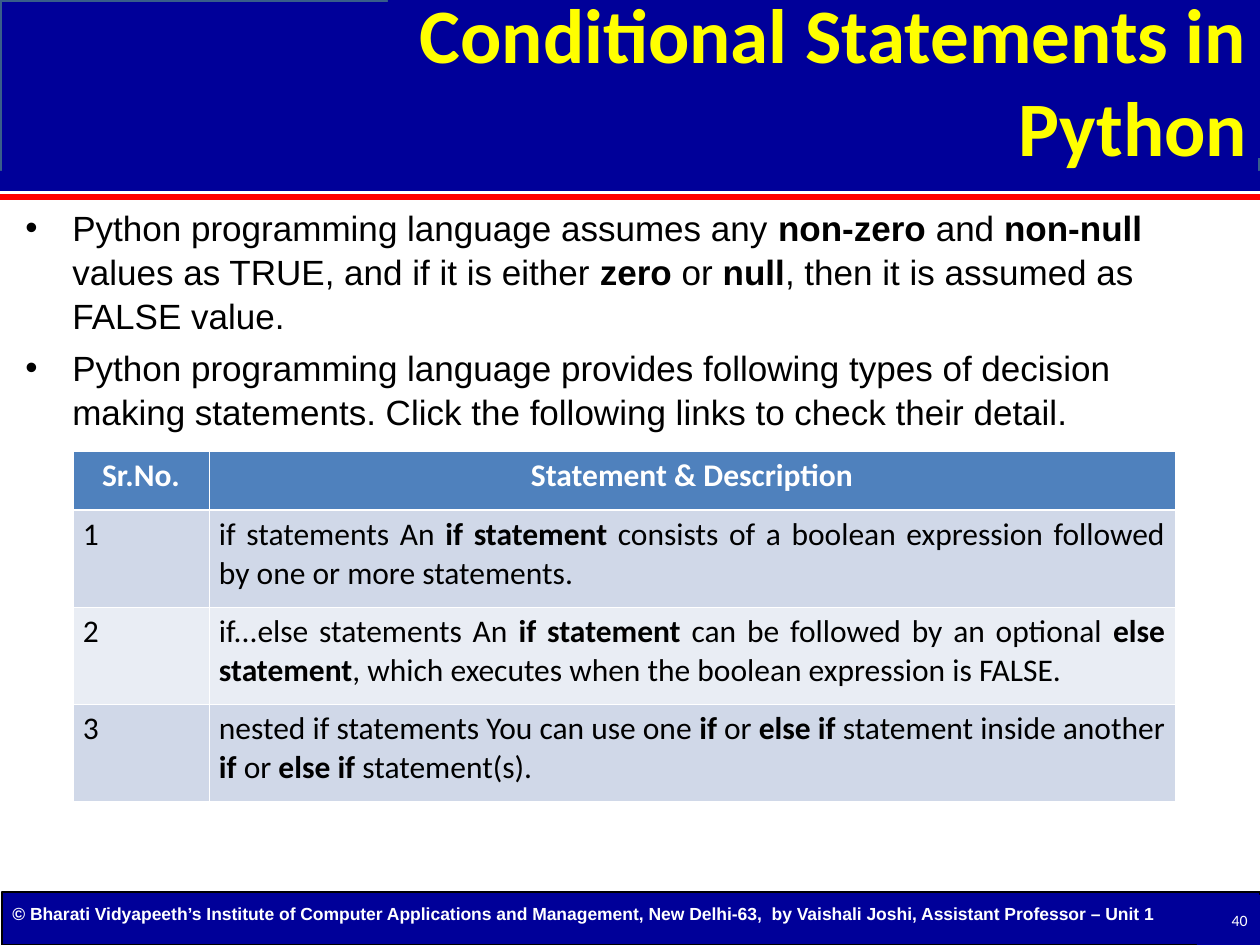
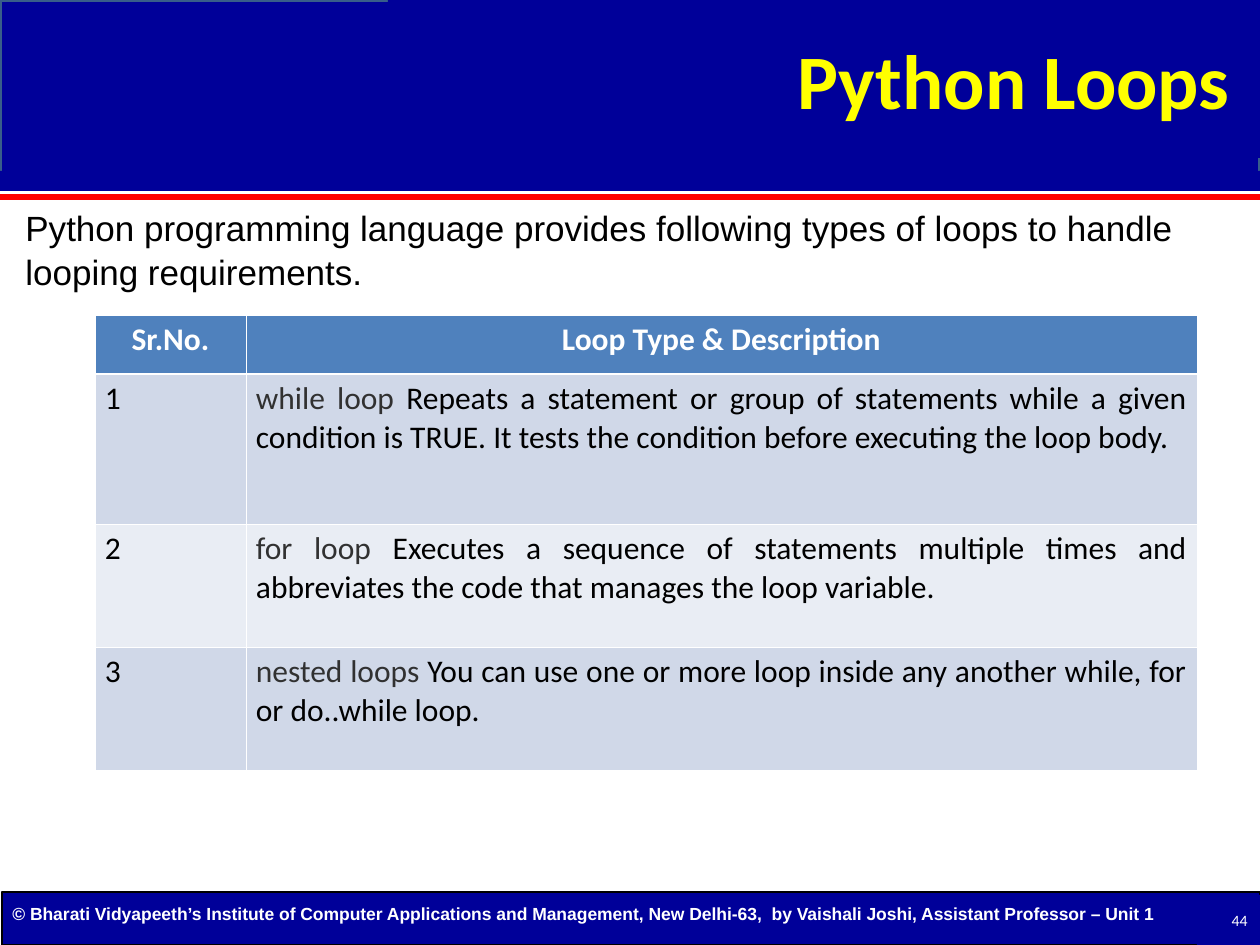
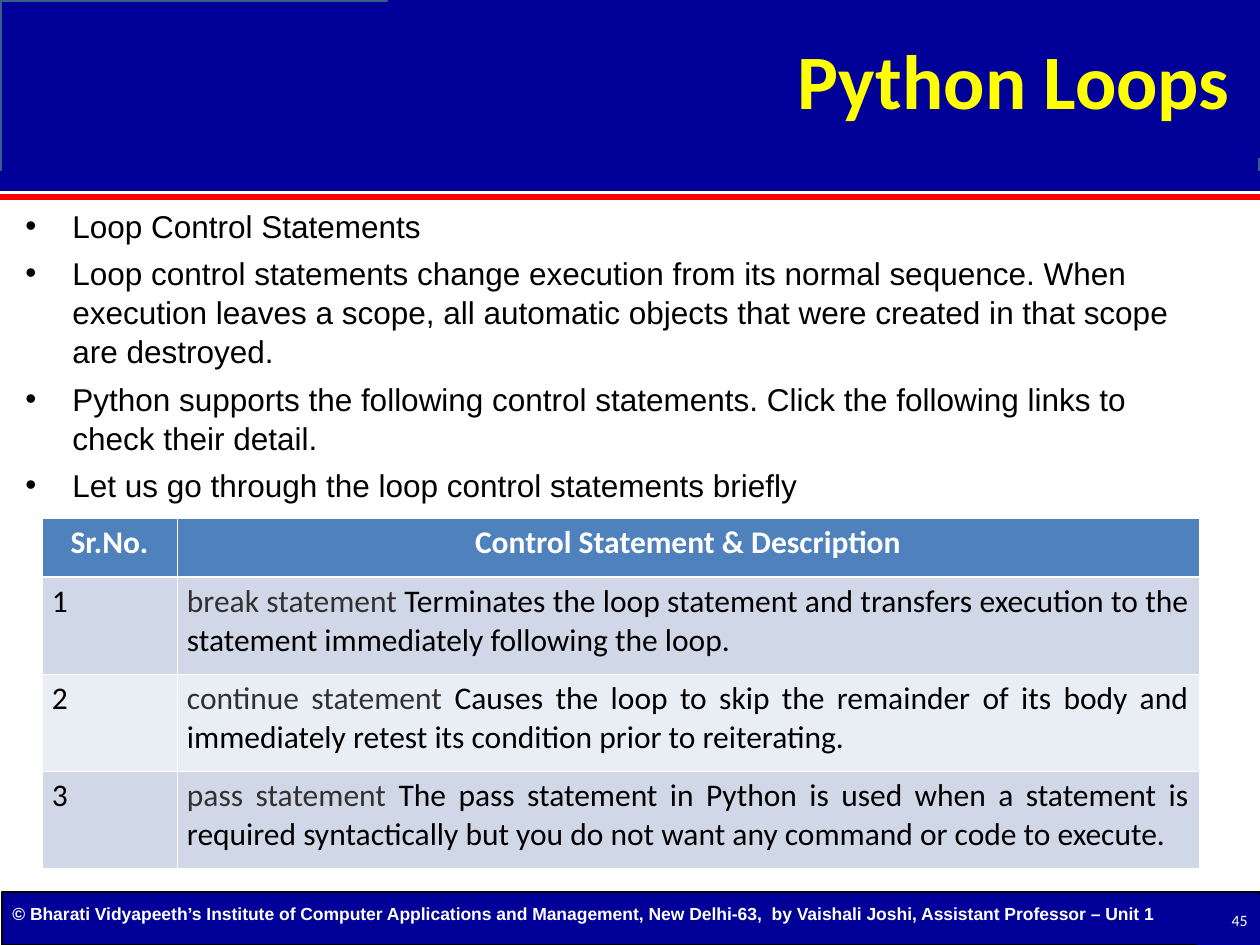
from dataclasses import dataclass
from typing import NamedTuple

from lxml.etree import SubElement
from pptx import Presentation
from pptx.dml.color import RGBColor
from pptx.enum.shapes import MSO_SHAPE
from pptx.enum.text import MSO_ANCHOR, MSO_AUTO_SIZE, PP_ALIGN
from pptx.oxml.ns import qn
from pptx.util import Emu, Pt

SCALE = 914400 / 126


def px(n: int) -> Emu:
    return Emu(round(n * SCALE))


# Theme: colours, fonts and type sizes
@dataclass(frozen=True)
class Theme:
    navy: str = "000099"
    edge: str = "385D8A"
    red: str = "FF0000"
    black: str = "000000"
    white: str = "FFFFFF"
    yellow: str = "FFFF00"
    grey: str = "313131"
    head: str = "4F81BD"
    bands: tuple[str, str] = ("D0D8E8", "E9EDF4")
    sans: str = "Arial"
    face: str = "Calibri"
    title: int = 44
    cell: int = 18
    foot: int = 10
    num: int = 9


THEME = Theme()


class Box(NamedTuple):
    x: int
    y: int
    w: int
    h: int

    def emu(self) -> list[Emu]:
        return [px(n) for n in self]


class Style(NamedTuple):
    size: int
    name: str
    color: str
    bold: bool = False
    align: PP_ALIGN = PP_ALIGN.LEFT


class Band(NamedTuple):
    box: Box
    fill: str
    line: str = ""
    width: float = 0


@dataclass
class Grid:
    x: int
    y: int
    cols: list[int]
    rows: list[int]
    head: str
    items: list[str]


@dataclass
class Page:
    title: str
    num: int
    size: int
    gap: float
    lines: list[str]
    grid: Grid
    dots: bool = True


# Shared parts of every slide
BANDS = [
    Band(Box(2, 892, 1258, 53), THEME.navy, THEME.black, 0.75),
    Band(Box(0, 0, 1260, 179), THEME.navy, THEME.edge, 2),
    Band(Box(0, 171, 1260, 20), THEME.navy),
    Band(Box(0, 194, 1260, 6), THEME.red),
]
TITLE = Box(388, 0, 872, 158)
BODY = Box(13, 199, 1187, 672)
FOOT = Box(0, 896, 1187, 34)
NUM = Box(1197, 895, 63, 50)
INDENT = 47
CREDIT = (
    "© Bharati Vidyapeeth’s Institute of Computer Applications and Management, "
    "New Delhi-63,  by Vaishali Joshi, Assistant Professor – Unit 1"
)

# Slide content: *bold* marks strong words, "|" ends a grey lead
PAGES = [
    Page(
        "Conditional Statements in Python", 40, 20, 5,
        [
            "Python programming language assumes any *non-zero* and *non-null* values as TRUE, "
            "and if it is either *zero* or *null*, then it is assumed as FALSE value.",
            "Python programming language provides following types of decision making "
            "statements. Click the following links to check their detail.",
        ],
        Grid(73, 451, [136, 966], [59, 97, 97, 97], "Statement & Description", [
            "if statements An *if statement* consists of a boolean expression "
            "followed by one or more statements.",
            "if...else statements An *if statement* can be followed by an optional "
            "*else statement*, which executes when the boolean expression is FALSE.",
            "nested if statements You can use one *if* or *else if* statement inside "
            "another *if* or *else if* statement(s).",
        ]),
    ),
    Page(
        "Python Loops ", 44, 20, 5,
        ["Python programming language provides following types of loops to handle "
         "looping requirements."],
        Grid(95, 315, [151, 951], [59, 150, 123, 123], "Loop Type & Description", [
            "while loop |Repeats a statement or group of statements while a given "
            "condition is TRUE. It tests the condition before executing the loop body.",
            "for loop |Executes a sequence of statements multiple times and "
            "abbreviates the code that manages the loop variable.",
            "nested loops |You can use one or more loop inside any another while, "
            "for or do..while loop.",
        ]),
        dots=False,
    ),
    Page(
        "Python Loops ", 45, 18, 4.5,
        [
            "Loop Control Statements",
            "Loop control statements change execution from its normal sequence. When "
            "execution leaves a scope, all automatic objects that were created in that "
            "scope are destroyed.",
            "Python supports the following control statements. Click the following "
            "links to check their detail.",
            "Let us go through the loop control statements briefly",
        ],
        Grid(42, 518, [135, 1022], [59, 97, 97, 97], "Control Statement & Description", [
            "break statement |Terminates the loop statement and transfers execution to "
            "the statement immediately following the loop.",
            "continue statement |Causes the loop to skip the remainder of its body and "
            "immediately retest its condition prior to reiterating.",
            "pass statement |The pass statement in Python is used when a statement is "
            "required syntactically but you do not want any command or code to execute.",
        ]),
    ),
]


# Text
def write(para, text: str, style: Style) -> None:
    para.alignment = style.align
    font = para.font
    font.size, font.name, font.bold = Pt(style.size), style.name, style.bold
    font.color.rgb = RGBColor.from_string(style.color)
    lead, _, rest = text.rpartition("|")
    if lead:
        run = para.add_run()
        run.text = lead
        run.font.color.rgb = RGBColor.from_string(THEME.grey)
    for i, part in enumerate(rest.split("*")):
        run = para.add_run()
        run.text = part
        if i % 2:
            run.font.bold = True


def label(slide, box: Box, text: str, style: Style, fill: str = ""):
    shape = slide.shapes.add_textbox(*box.emu())
    if fill:
        shape.fill.solid()
        shape.fill.fore_color.rgb = RGBColor.from_string(fill)
    frame = shape.text_frame
    frame.word_wrap = True
    frame.vertical_anchor = MSO_ANCHOR.MIDDLE
    write(frame.paragraphs[0], text, style)
    return frame


def bullet(para) -> None:
    props = para._p.get_or_add_pPr()
    props.set("marL", str(px(INDENT)))
    props.set("indent", str(-px(INDENT)))
    SubElement(props, qn("a:buFont")).set("typeface", THEME.sans)
    SubElement(props, qn("a:buChar")).set("char", "•")


def body(slide, page: Page) -> None:
    frame = slide.shapes.add_textbox(*BODY.emu()).text_frame
    frame.word_wrap = True
    style = Style(page.size, THEME.sans, THEME.black)
    for i, text in enumerate(page.lines):
        para = frame.add_paragraph() if i else frame.paragraphs[0]
        para.line_spacing = 1.04
        if i:
            para.space_before = Pt(page.gap)
        if page.dots:
            bullet(para)
        write(para, text, style)


# Bands and footer
def band(slide, part: Band) -> None:
    shape = slide.shapes.add_shape(MSO_SHAPE.RECTANGLE, *part.box.emu())
    shape.shadow.inherit = False
    shape.fill.solid()
    shape.fill.fore_color.rgb = RGBColor.from_string(part.fill)
    if part.line:
        shape.line.color.rgb = RGBColor.from_string(part.line)
        shape.line.width = Pt(part.width)
    else:
        shape.line.fill.background()


def frame_up(slide, page: Page) -> None:
    for part in BANDS:
        band(slide, part)
    foot = label(slide, FOOT, CREDIT, Style(THEME.foot, THEME.sans, THEME.white, True))
    foot.word_wrap = False
    foot.auto_size = MSO_AUTO_SIZE.SHAPE_TO_FIT_TEXT
    foot.vertical_anchor = MSO_ANCHOR.BOTTOM
    right = PP_ALIGN.RIGHT
    label(slide, TITLE, page.title,
          Style(THEME.title, THEME.face, THEME.yellow, True, right), THEME.navy)
    label(slide, NUM, str(page.num),
          Style(THEME.num, THEME.face, THEME.white, False, right), THEME.navy)


# Table
def rule(cell, side: str, width: float) -> None:
    line = SubElement(cell._tc.get_or_add_tcPr(), qn(f"a:ln{side}"))
    line.set("w", str(Pt(width)))
    fill = SubElement(line, qn("a:solidFill"))
    SubElement(fill, qn("a:srgbClr")).set("val", THEME.white)


def fill_cell(cell, row: int, text: str, style: Style) -> None:
    for side in "LRTB":
        thick = (row, side) in ((0, "B"), (1, "T"))
        rule(cell, side, 1.47 if thick else 0.45)
    cell.fill.solid()
    color = THEME.bands[(row - 1) % 2] if row else THEME.head
    cell.fill.fore_color.rgb = RGBColor.from_string(color)
    cell.margin_left = cell.margin_right = px(10)
    cell.margin_top = cell.margin_bottom = px(6)
    write(cell.text_frame.paragraphs[0], text, style)


def table(slide, grid: Grid) -> None:
    box = Box(grid.x, grid.y, sum(grid.cols), sum(grid.rows))
    tab = slide.shapes.add_table(len(grid.rows), len(grid.cols), *box.emu()).table
    for col, wide in zip(tab.columns, grid.cols):
        col.width = px(wide)
    for row, high in zip(tab.rows, grid.rows):
        row.height = px(high)
    head = Style(THEME.cell, THEME.face, THEME.white, True, PP_ALIGN.CENTER)
    left = Style(THEME.cell, THEME.face, THEME.black)
    full = left._replace(align=PP_ALIGN.JUSTIFY)
    fill_cell(tab.cell(0, 0), 0, "Sr.No.", head)
    fill_cell(tab.cell(0, 1), 0, grid.head, head)
    for i, text in enumerate(grid.items, 1):
        fill_cell(tab.cell(i, 0), i, str(i), left)
        fill_cell(tab.cell(i, 1), i, text, full)


def main() -> None:
    deck = Presentation()
    deck.slide_width, deck.slide_height = px(1260), px(945)
    for page in PAGES:
        slide = deck.slides.add_slide(deck.slide_layouts[6])
        frame_up(slide, page)
        body(slide, page)
        table(slide, page.grid)
    deck.save("out.pptx")


if __name__ == "__main__":
    main()
